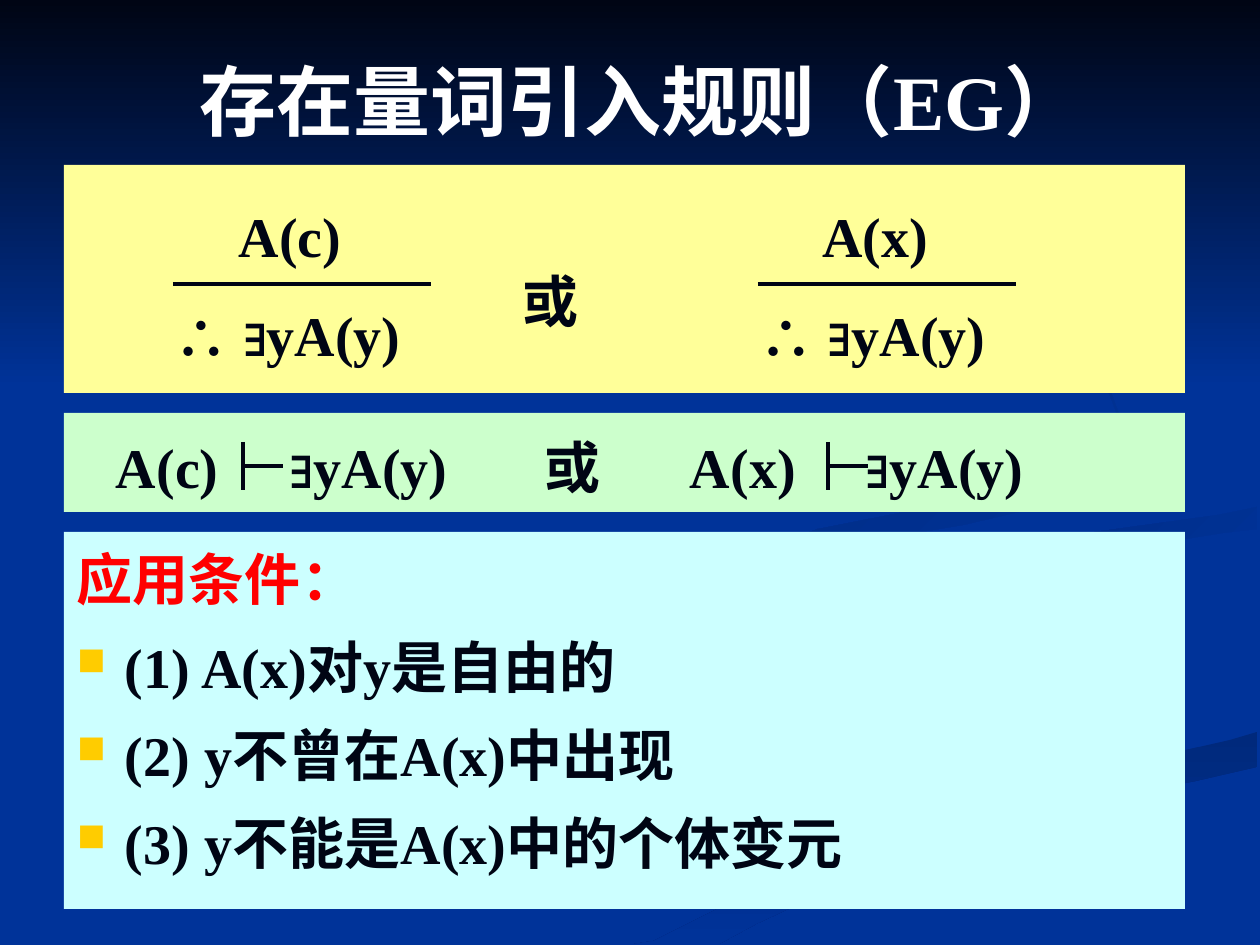
from lxml.etree import SubElement
from pptx import Presentation
from pptx.dml.color import RGBColor
from pptx.enum.shapes import MSO_CONNECTOR, MSO_SHAPE
from pptx.enum.text import MSO_ANCHOR, PP_ALIGN
from pptx.oxml.ns import qn
from pptx.util import Emu, Pt

W, H = 1260, 945
SCALE = 914400 / 126
NAVY, INK, WHITE, RED, AMBER = "003399", "000514", "FFFFFF", "FF0000", "FFCC00"
PANEL_X, PANEL_W = 64, 1121
FRACTION_STEP = 585

RIBBONS = [
    ([(634, 944), (719, 944), (756, 924), (844, 883), (948, 847), (1070, 806),
      (1196, 781), (1257, 767), (1257, 732), (1230, 740), (1138, 761),
      (1004, 796), (877, 838), (755, 890), (654, 941)], "00297C", NAVY, 270),
    ([(984, 580), (991, 597), (1015, 614), (1041, 625), (1019, 609),
      (1014, 595), (1028, 578), (1062, 564), (1129, 548), (1223, 533),
      (1257, 529), (1257, 507), (1218, 515), (1131, 527), (1052, 538),
      (1007, 557)], NAVY, "002C85", 135),
    ([(861, 542), (963, 525), (1040, 507), (1092, 484), (1120, 456),
      (1126, 433), (1109, 387), (1062, 347), (960, 294), (1041, 335),
      (1103, 377), (1120, 422), (1104, 454), (1061, 476), (961, 501),
      (818, 529), (752, 552), (727, 582), (743, 610), (784, 630),
      (757, 611), (747, 592), (773, 565), (818, 549)], NAVY, "002B81", 135),
]


def px(v):
    return Emu(round(v * SCALE))


def rgb(h):
    return RGBColor.from_string(h)


def assign(obj, values):
    for name, value in values.items():
        setattr(obj, name, value)


def shade(sp, first, last, angle):
    sp.shadow.inherit = False
    sp.line.fill.background()
    sp.fill.gradient()
    sp.fill.gradient_angle = angle
    for stop, color in zip(sp.fill.gradient_stops, (first, last)):
        stop.color.rgb = rgb(color)


def add_ribbon(s, points, first, last, angle):
    fb = s.shapes.build_freeform(*points[0], scale=SCALE)
    fb.add_line_segments(points[1:], close=True)
    shade(fb.convert_to_shape(), first, last, angle)


def add_panel(s, y, h, color, left=13, top=6):
    sp = s.shapes.add_shape(MSO_SHAPE.RECTANGLE, *map(px, (PANEL_X, y, PANEL_W, h)))
    sp.shadow.inherit = False
    sp.fill.solid()
    sp.fill.fore_color.rgb = rgb(color)
    sp.line.fill.background()
    tf = sp.text_frame
    assign(tf, {"word_wrap": True, "vertical_anchor": MSO_ANCHOR.TOP,
                "margin_left": px(left), "margin_right": px(13),
                "margin_top": px(top), "margin_bottom": px(6)})
    return tf


def write(p, text, color=INK, size=32, **layout):
    assign(p, {"alignment": PP_ALIGN.LEFT, **layout})
    r = p.add_run()
    r.text = text
    assign(r.font, {"name": "Times New Roman", "size": Pt(size), "bold": True})
    r.font.color.rgb = rgb(color)


def add_label(s, x, y, w, h, text, wrap=False, **style):
    tf = s.shapes.add_textbox(*map(px, (x, y, w, h))).text_frame
    assign(tf, {"word_wrap": wrap, "vertical_anchor": MSO_ANCHOR.MIDDLE})
    write(tf.paragraphs[0], text, alignment=PP_ALIGN.CENTER, **style)


def add_line(s, x1, y1, x2, y2):
    c = s.shapes.add_connector(MSO_CONNECTOR.STRAIGHT, *map(px, (x1, y1, x2, y2)))
    c.line.width = Pt(2)
    c.line.color.rgb = rgb(INK)
    SubElement(c._element.spPr, qn("a:effectLst"))


def add_fraction(s, x, premise):
    add_label(s, x + 82, 195, 144, 81, premise)
    add_line(s, x + 37, 284, x + 295, 284)
    add_label(s, x, 294, 302, 81, "∴ ∃yA(y)")


def add_turnstile(s, x):
    add_line(s, x, 442, x, 490)
    add_line(s, x, 466, x + 40, 466)


def set_tabs(p, stops):
    tabs = SubElement(p._p.get_or_add_pPr(), qn("a:tabLst"))
    for stop in stops:
        SubElement(tabs, qn("a:tab"), pos=str(px(stop)), algn="l")


def set_bullet(p):
    pPr = p._p.get_or_add_pPr()
    pPr.set("marL", str(px(48)))
    pPr.set("indent", str(px(-48)))
    SubElement(SubElement(pPr, qn("a:buClr")), qn("a:srgbClr"), val=AMBER)
    SubElement(pPr, qn("a:buSzPct"), val="70000")
    SubElement(pPr, qn("a:buChar"), char="■")


def add_conditions(s):
    tf = add_panel(s, 532, 377, "CCFFFF")
    write(tf.paragraphs[0], "应用条件：", RED, line_spacing=1.1)
    for text in ("(1) A(x)对y是自由的", "(2) y不曾在A(x)中出现",
                 "(3) y不能是A(x)中的个体变元"):
        p = tf.add_paragraph()
        set_bullet(p)
        write(p, text, line_spacing=1.1, space_before=Pt(8))


def main():
    prs = Presentation()
    assign(prs, {"slide_width": px(W), "slide_height": px(H)})
    s = prs.slides.add_slide(prs.slide_layouts[6])
    s.background.fill.solid()
    s.background.fill.fore_color.rgb = rgb(NAVY)
    for ribbon in RIBBONS:
        add_ribbon(s, *ribbon)
    band = s.shapes.add_shape(MSO_SHAPE.RECTANGLE, *map(px, (0, 0, W, 388)))
    shade(band, INK, NAVY, 270)

    tf = add_panel(s, 165, 228, "FFFF99", left=459, top=88)
    write(tf.paragraphs[0], "或", line_spacing=1.2)
    add_label(s, 74, 45, 1134, 110, "存在量词引入规则（EG）", True, color=WHITE, size=44)

    tf = add_panel(s, 413, 99, "CCFFCC", left=52)
    p = tf.paragraphs[0]
    set_tabs(p, (174, 429, 574, 750))
    write(p, "A(c)\t∃yA(y)\t或\tA(x)\t∃yA(y)", line_spacing=1.2)

    for i, premise in enumerate(("A(c)", "A(x)")):
        add_fraction(s, 136 + i * FRACTION_STEP, premise)
        add_turnstile(s, 243 + i * FRACTION_STEP)
    add_conditions(s)
    prs.save("out.pptx")


if __name__ == "__main__":
    main()
